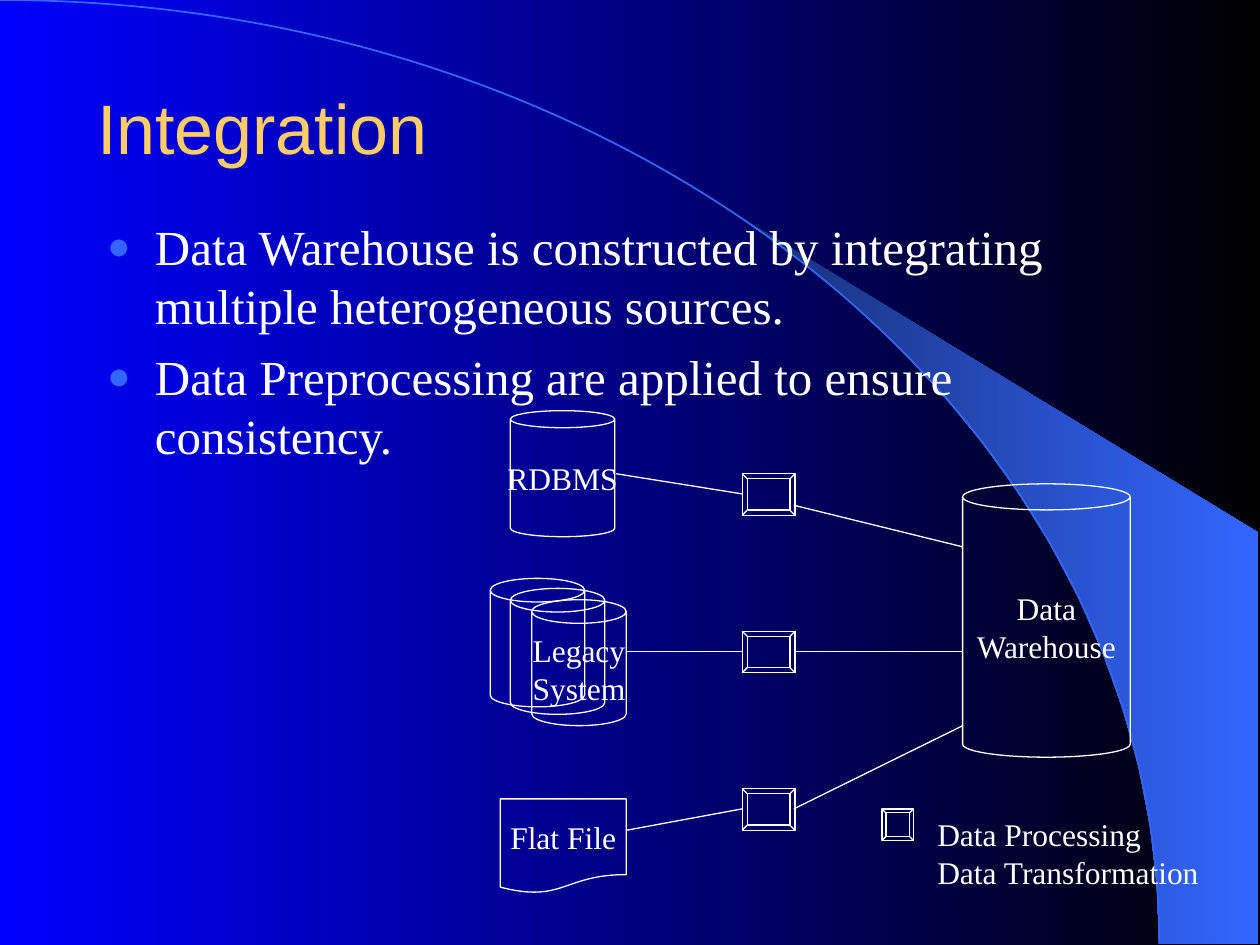
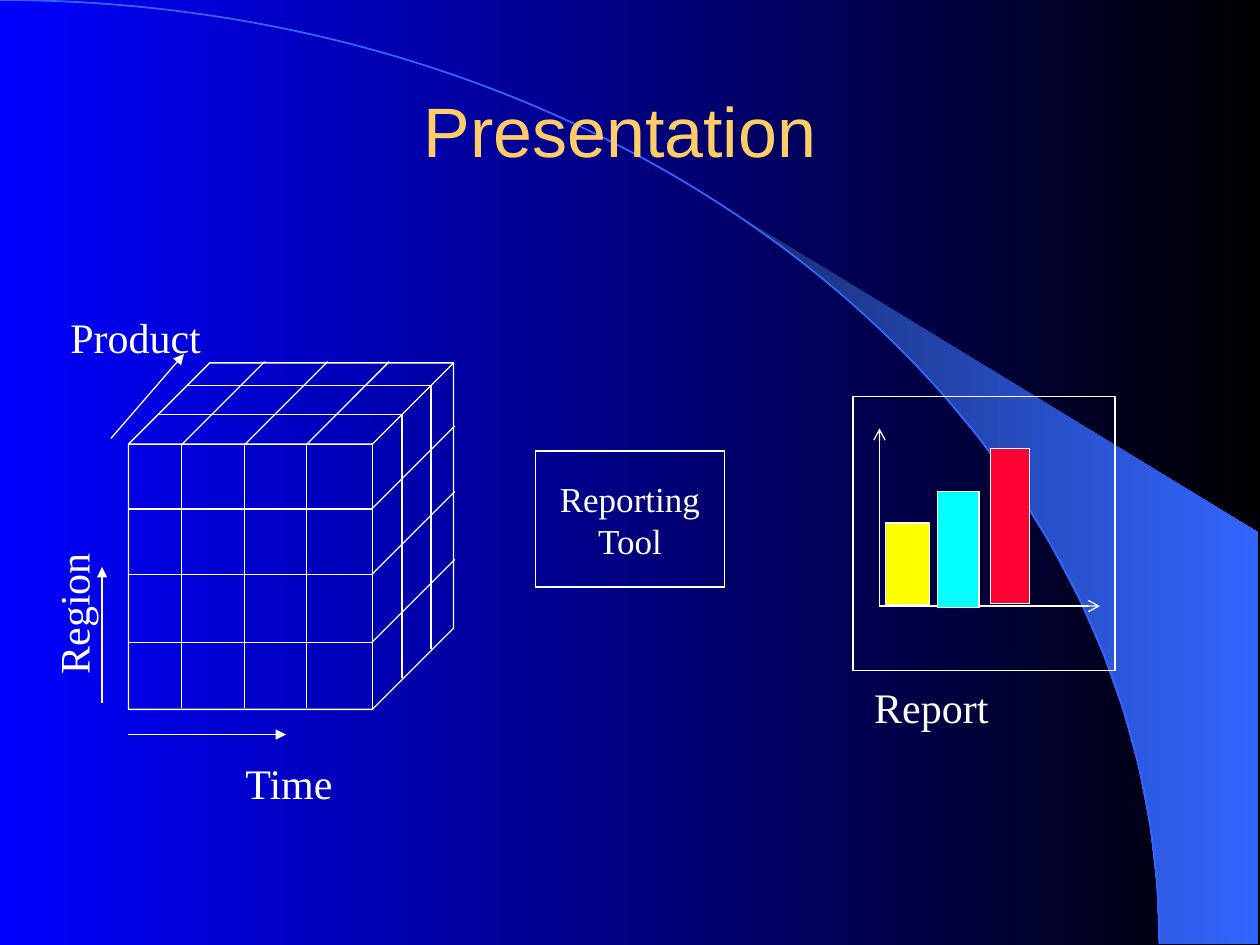
import math
from dataclasses import dataclass

from lxml import etree
from pptx import Presentation
from pptx import util as u
from pptx.dml.color import RGBColor
from pptx.enum import shapes as s, text as t
from pptx.oxml.ns import qn


@dataclass(frozen=True)
class Theme:
    heading_font: str = "Arial"
    body_font: str = "Times New Roman"
    title: str = "FFCC66"
    ink: str = "FFFFFF"
    accent: str = "3366FF"
    accent_dark: str = "182F76"
    sky: str = "0000FF"
    night: str = "000000"
    yellow: str = "FFFF00"
    cyan: str = "00FFFF"
    red: str = "FF0033"
    title_size: int = 40
    body_size: int = 28
    label_size: int = 24
    tool_size: int = 20
    node_size: int = 18
    thin: float = 0.75


THEME = Theme()
KIND = s.MSO_SHAPE
LEFT, CENTER = t.PP_ALIGN.LEFT, t.PP_ALIGN.CENTER
ARC_WIDTH, ARC_HEIGHT = 9.2, 7.49


def color(value):
    return RGBColor.from_string(value)


def inches(*values):
    return [u.Inches(value) for value in values]


def add_element(parent, tag, **attributes):
    return etree.SubElement(parent, qn(tag), attributes)


def write(frame, text, size=THEME.node_size, font=THEME.body_font, ink=THEME.ink,
          align=LEFT, anchor=t.MSO_ANCHOR.TOP, wrap=False, bullet=None, space=0):
    """Fill a text frame with one paragraph for each line of text."""
    frame.word_wrap = wrap
    frame.auto_size = t.MSO_AUTO_SIZE.NONE
    frame.vertical_anchor = anchor
    for index, line in enumerate(text.split("\n")):
        paragraph = frame.add_paragraph() if index else frame.paragraphs[0]
        if bullet:
            add_bullet(paragraph, bullet)
        paragraph.text = line
        paragraph.alignment = align
        paragraph.space_before = u.Pt(space if index else 0)
        paragraph.font.size = u.Pt(size)
        paragraph.font.name = font
        paragraph.font.color.rgb = color(ink)


def add_bullet(paragraph, character):
    properties = paragraph._p.get_or_add_pPr()
    indent = u.Inches(0.38)
    properties.set("marL", str(indent))
    properties.set("indent", str(-indent))
    bullet_color = add_element(properties, "a:buClr")
    add_element(bullet_color, "a:srgbClr", val=THEME.accent)
    add_element(properties, "a:buSzPct", val="80000")
    add_element(properties, "a:buChar", char=character)


def set_gradient(fill, start, end):
    fill.gradient()
    fill.gradient_angle = 0
    for stop, value in zip(fill.gradient_stops, (start, end)):
        stop.color.rgb = color(value)


def style_line(line, ink=THEME.ink, width=THEME.thin):
    line.color.rgb = color(ink)
    line.width = u.Pt(width)


def add_outline(slide, points):
    start, *rest = [inches(*point) for point in points]
    builder = slide.shapes.build_freeform(*start)
    builder.add_line_segments(rest, close=False)
    shape = builder.convert_to_shape()
    shape.shadow.inherit = False
    return shape


def arc_points(start, steps):
    """Points on the quarter ellipse, from the start angle down to its right end."""
    angles = [start + (math.pi / 2 - start) * step / steps for step in range(steps + 1)]
    return [(ARC_WIDTH * math.sin(a), ARC_HEIGHT * (1 - math.cos(a))) for a in angles]


def bend(outline, *controls):
    """Turn the only line segment of an outline at the slide origin into a curve."""
    segment = next(outline.element.iter(qn("a:lnTo")))
    segment.tag = qn("a:cubicBezTo")
    for index, control in enumerate(controls):
        x, y = inches(*control)
        point = etree.Element(qn("a:pt"), x=str(x), y=str(y))
        segment.insert(index, point)


def build_backdrop(slide):
    """Give the master the gradient, the wedge and the arc."""
    master = slide.slide_layout.slide_master
    set_gradient(master.background.fill, THEME.sky, THEME.night)

    wedge_left = 5.89
    wedge = add_outline(slide, arc_points(math.asin(wedge_left / ARC_WIDTH), 14)
                        + [(9.99, 7.49), (9.99, 4.23), (wedge_left, 1.73)])
    set_gradient(wedge.fill, THEME.accent_dark, THEME.accent)
    wedge.line.fill.background()

    arc = add_outline(slide, [(0, 0), (ARC_WIDTH, ARC_HEIGHT)])
    bend(arc, (5.08, 0), (ARC_WIDTH, 3.35))
    arc.fill.background()
    style_line(arc.line, THEME.accent, 1)

    for index, shape in enumerate((wedge, arc)):
        shape.element.nvSpPr.cNvPr.set("id", str(100 + index))
        master.shapes.element.insert(2 + index, shape.element)


def place(shape, left, top, width, height):
    shape.left, shape.top, shape.width, shape.height = inches(left, top, width, height)


def add_title(slide, text, top=0.67, align=LEFT):
    title = slide.shapes.title
    place(title, 0.67, top, 8.5, 0.67)
    write(title.text_frame, text, size=THEME.title_size, font=THEME.heading_font,
          ink=THEME.title, align=align, anchor=t.MSO_ANCHOR.MIDDLE, wrap=True)


def add_node(slide, kind, box, text="", size=THEME.node_size, fill=None, adjust=None):
    shape = slide.shapes.add_shape(kind, *inches(*box))
    shape.shadow.inherit = False
    if fill:
        shape.fill.solid()
        shape.fill.fore_color.rgb = color(fill)
    else:
        shape.fill.background()
    style_line(shape.line)
    if adjust:
        shape.adjustments[0] = adjust
    if text:
        write(shape.text_frame, text, size=size, align=CENTER,
              anchor=t.MSO_ANCHOR.MIDDLE)


def add_label(slide, text, box, size=THEME.label_size, rotation=0):
    label = slide.shapes.add_textbox(*inches(*box))
    label.rotation = rotation
    write(label.text_frame, text, size=size)


def add_line(slide, start, end, arrow=None):
    connector = slide.shapes.add_connector(s.MSO_CONNECTOR.STRAIGHT,
                                           *inches(*start, *end))
    style_line(connector.line)
    if arrow:
        add_element(connector.line._get_or_add_ln(), "a:tailEnd", type=arrow)
    add_element(connector.element.spPr, "a:effectLst")


def build_integration(slide):
    add_title(slide, "Integration")
    body = slide.placeholders[1]
    place(body, 0.75, 1.67, 8.5, 5)
    write(body.text_frame,
          "Data Warehouse is constructed by integrating multiple heterogeneous sources.\n"
          "Data Preprocessing are applied to ensure consistency.",
          size=THEME.body_size, wrap=True, bullet="●", space=7)

    add_node(slide, KIND.CAN, (4.05, 3.26, 0.83, 1), "RDBMS", adjust=0.163)
    for left, top, height, text in ((3.89, 4.59, 1.02, ""), (4.05, 4.67, 1, ""),
                                    (4.22, 4.76, 1, "Legacy\nSystem")):
        add_node(slide, KIND.CAN, (left, top, 0.75, height), text, adjust=0.25)
    add_node(slide, KIND.CAN, (7.64, 3.84, 1.33, 2.17), "Data\nWarehouse", adjust=0.156)
    add_node(slide, KIND.FLOWCHART_DOCUMENT, (3.97, 6.34, 1, 0.75), "Flat File")

    processor_left, processor_right, warehouse_left = 5.89, 6.3, 7.64
    # Source point, height entering and leaving the processor, height at the warehouse
    flows = (((4.89, 3.76), 3.92, 4.01, 4.34),
             ((4.97, 5.17), 5.17, 5.17, 5.17),
             ((4.97, 6.59), 6.42, 6.42, 5.76))
    for row, (source, enter, leave, arrive) in enumerate(flows):
        add_node(slide, KIND.BEVEL, (processor_left, 3.76 + 1.25 * row, 0.42, 0.33),
                 adjust=0.125)
        add_line(slide, source, (processor_left, enter))
        add_line(slide, (processor_right, leave), (warehouse_left, arrive))

    add_node(slide, KIND.BEVEL, (7, 6.42, 0.25, 0.25), adjust=0.125)
    add_label(slide, "Data Processing\nData Transformation", (7.34, 6.42, 2.29, 0.7),
              size=THEME.node_size)


def build_cube(slide):
    left, right, top, bottom = 1.02, 2.95, 3.53, 5.62
    depth = 0.66
    add_node(slide, KIND.CUBE, (left, 2.88, 2.58, 2.75), adjust=0.25)
    for column in (1.44, 1.94, 2.43):
        add_line(slide, (column, top), (column, bottom))
        add_line(slide, (column, top), (column + depth, top - depth))
    for row in (4.04, 4.56, 5.1):
        add_line(slide, (left, row), (right, row))
        add_line(slide, (right, row), (right + depth, row - depth))
    for offset in (0.24, 0.47):
        add_line(slide, (left + offset, top - offset), (right + offset, top - offset))
        add_line(slide, (right + offset, top - offset), (right + offset, bottom - offset))

    for start, end in (((1.02, 5.83), (2.27, 5.83)),
                       ((0.81, 5.58), (0.81, 4.5)),
                       ((0.88, 3.48), (1.46, 2.81))):
        add_line(slide, start, end, arrow="triangle")
    add_label(slide, "Time", (1.85, 5.96, 0.9, 0.5))
    add_label(slide, "Region", (0, 4.62, 1.16, 0.5), rotation=270)
    add_label(slide, "Product", (0.46, 2.42, 1.23, 0.5))


def build_report(slide):
    origin = (6.98, 4.81)
    for axis_end in ((6.98, 3.4), (8.73, 4.81)):
        add_line(slide, origin, axis_end, arrow="arrow")
    for bar, fill in (((7.44, 3.9, 0.33, 0.92), THEME.cyan),
                      ((7.86, 3.56, 0.31, 1.23), THEME.red),
                      ((7.03, 4.15, 0.35, 0.65), THEME.yellow)):
        add_node(slide, KIND.RECTANGLE, bar, fill=fill)
    add_node(slide, KIND.RECTANGLE, (6.77, 3.15, 2.08, 2.17))
    add_label(slide, "Report", (6.84, 5.36, 1.1, 0.5))


def build_presentation(slide):
    add_title(slide, "Presentation", top=0.69, align=CENTER)
    build_cube(slide)
    build_report(slide)
    add_node(slide, KIND.RECTANGLE, (4.25, 3.58, 1.5, 1.08), "Reporting\nTool",
             size=THEME.tool_size)


def main():
    presentation = Presentation()
    presentation.slide_width, presentation.slide_height = inches(10, 7.5)
    layouts = presentation.slide_layouts
    integration = presentation.slides.add_slide(layouts.get_by_name("Title and Content"))
    build_backdrop(integration)
    build_integration(integration)
    build_presentation(presentation.slides.add_slide(layouts.get_by_name("Title Only")))
    presentation.save("out.pptx")


if __name__ == "__main__":
    main()
